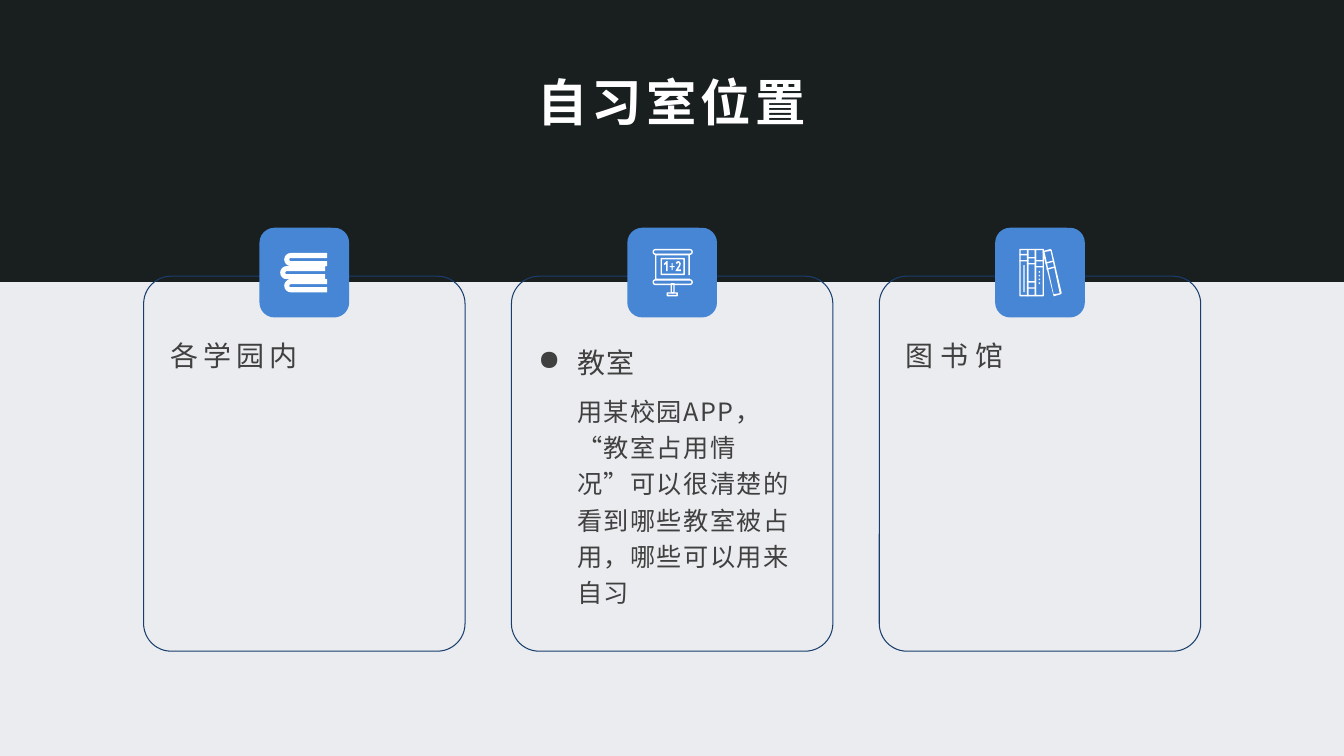
"""Build the study room location slide with three icon cards."""
from math import cos, pi, sin

from lxml.etree import SubElement
from pptx import Presentation
from pptx.dml.color import RGBColor
from pptx.enum.shapes import MSO_SHAPE as Preset
from pptx.enum.text import MSO_ANCHOR as Anchor, PP_ALIGN as Align
from pptx.oxml.ns import qn
from pptx.util import Cm, Pt

NIGHT = RGBColor(0x19, 0x1E, 0x1E)
MIST = RGBColor(0xEA, 0xEC, 0xEF)
NAVY = RGBColor(0x19, 0x3E, 0x6D)
BLUE = RGBColor(0x47, 0x86, 0xD5)
GREY = RGBColor(0x40, 0x40, 0x40)
WHITE = RGBColor(0xFF, 0xFF, 0xFF)
FONT = "Noto Sans CJK SC"
BULLET = "●"

TITLE = "自习室位置"
CARDS = [
    [dict(text="各学园内", size=20, spacing=3.6)],
    [
        dict(text="教室", size=20, spacing=1.2, line=1.2, hanging=True),
        dict(text="用某校园APP，“教室占用情况”可以很清楚的看到哪些教室被占用，哪些可以用来自习",
             size=18, spacing=1, line=1.2, level=1),
    ],
    [dict(text="图书馆", size=20, spacing=4.8)],
]

SLIDE_W, SLIDE_H = Cm(33.87), Cm(19.05)
BAND_TOP = Cm(7.11)
CARD_LEFT, CARD_TOP, CARD_W, CARD_H = Cm(3.62), Cm(6.96), Cm(8.1), Cm(9.45)
CARD_PITCH = Cm(9.27)
BADGE_TOP, BADGE = Cm(5.74), Cm(2.26)
TEXT_INSET, TEXT_TOP, TEXT_H = Cm(0.42), Cm(8.41), Cm(7.49)
INDENT = Cm(0.99)
ICON_UNIT = Cm(2.54) / 100


def arc(x, y, radius, start, end, steps=8):
    angles = [start + (end - start) * i / steps for i in range(steps + 1)]
    return [(x + radius * cos(a), y + radius * sin(a)) for a in angles]


def rounded(left, top, right, bottom, radius):
    corners = [(right - radius, bottom - radius), (left + radius, bottom - radius),
               (left + radius, top + radius), (right - radius, top + radius)]
    return [point for i, (x, y) in enumerate(corners)
            for point in arc(x, y, radius, i * pi / 2, (i + 1) * pi / 2, 4)]


def bar(left, top, width, height):
    return [rounded(left, top, left + width, top + height, min(width, height) / 2)]


def frame(left, top, right, bottom, radius, wall):
    return [rounded(left, top, right, bottom, radius),
            rounded(left + wall, top + wall, right - wall, bottom - wall,
                    max(radius - wall, 0))]


def lying_book(spine, middle, right):
    return [(right, middle - 6.5), *arc(spine, middle, 6.5, -pi / 2, -3 * pi / 2),
            (right, middle + 6.5), (right, middle + 1.5),
            *arc(spine, middle, 1.5, pi / 2, 3 * pi / 2), (right, middle - 1.5)]


BOOK_PILE = [[lying_book(31, 31.5, 67), lying_book(27, 44.5, 65), lying_book(31, 57.5, 67)]]

BOARD = [
    frame(25, 21, 65, 27, 3, 1.4),
    frame(39, 64, 50, 68, 0.7, 1.4),
    frame(25, 51, 65, 57, 3, 1.4),
    [[(62, 52), (27.5, 52), (27.5, 26), (62, 26), (62, 47),
      (60.6, 47), (60.6, 27.4), (28.9, 27.4), (28.9, 50.6), (62, 50.6)]],
    frame(33, 30, 57, 47, 0.7, 1.4),
    frame(43, 55, 47, 65, 0.7, 1.2),
    [[(40, 43), (38.4, 43), (38.4, 36), (37, 37), (36, 36), (39, 33), (40, 33)]],
    [[(44, 39), (42, 39), (42, 38), (44, 38), (44, 35), (45, 35),
      (45, 38), (47, 38), (47, 39), (45, 39), (45, 42), (44, 42)]],
    [[(53, 43), (48, 43), (48, 42), (50, 39), (51.4, 37), (51.4, 35.5), (50.4, 34.6),
      (49.3, 36), (48, 35), (49, 33.6), (50.4, 33), (52, 33.6), (53, 35.5),
      (52.4, 38), (50.2, 41.4), (53, 41.4)]],
]

SPINES = {24: (26, 32), 31.5: (29, 35, 53, 59), 39.3: (32, 38)}
LEANING = [[(58, 68), (47, 24), (48, 23), (55, 21), (56, 22), (66, 65), (65, 66)],
           [(49, 24), (58, 66), (64, 65), (55, 23)]]
SHELF = [
    *[frame(x, 21, x + 9, 68, 0.7, 1.3) for x in SPINES],
    LEANING,
    *[bar(x, y, 9, 1.3) for x, stripes in SPINES.items() for y in stripes],
    bar(28, 37, 1.3, 27),
    *[bar(43.2, 43 + 3.7 * i, 1.4, 1.6) for i in range(4)],
    *[[[(50 + i, 35.8 + 6 * i), (50 + i, 34.4 + 6 * i),
        (58.5 + i, 32.2 + 6 * i), (58.5 + i, 33.6 + 6 * i)]] for i in range(2)],
]
ICONS = [BOOK_PILE, BOARD, SHELF]


def paint(shape, fill=None, line=None):
    shape.shadow.inherit = False
    if fill is None:
        shape.fill.background()
    else:
        shape.fill.solid()
        shape.fill.fore_color.rgb = fill
    if line is None:
        shape.line.fill.background()
    else:
        shape.line.color.rgb = line
        shape.line.width = Pt(0.75)
    return shape


def draw_icon(slide, parts, left, top):
    icon = slide.shapes.add_group_shape()
    for contours in parts:
        scaled = [[(round(x * ICON_UNIT), round(y * ICON_UNIT)) for x, y in contour]
                  for contour in contours]
        builder = icon.shapes.build_freeform(*scaled[0][0])
        for i, contour in enumerate(scaled):
            if i:
                builder.move_to(*contour[0])
            builder.add_line_segments(contour[1:], close=True)
        paint(builder.convert_to_shape(left, top), WHITE)


def write(paragraph, text, size, spacing, color=GREY, bold=False, line=None,
          level=0, hanging=False):
    paragraph.space_after = Pt(8)
    paragraph.level = level
    if line:
        paragraph.line_spacing = line
    props = paragraph._p.get_or_add_pPr()
    if hanging or level:
        props.set("marL", str(INDENT))
        props.set("indent", str(-INDENT if hanging else 0))
    if hanging:
        SubElement(props, qn("a:buChar")).set("char", BULLET)
    run = paragraph.add_run()
    run.text = text
    run.font.size, run.font.bold = Pt(size), bold
    run.font.name = FONT
    run.font.color.rgb = color
    run_props = run._r.get_or_add_rPr()
    run_props.set("spc", str(round(spacing * 100)))
    SubElement(run_props, qn("a:ea")).set("typeface", FONT)


def add_card(slide, index, paragraphs, icon):
    left = CARD_LEFT + index * CARD_PITCH
    card = paint(slide.shapes.add_shape(Preset.ROUNDED_RECTANGLE, left, CARD_TOP,
                                        CARD_W, CARD_H), line=NAVY)
    card.adjustments[0] = 0.086
    badge_left = left + (CARD_W - BADGE) // 2
    paint(slide.shapes.add_shape(Preset.ROUNDED_RECTANGLE, badge_left, BADGE_TOP,
                                 BADGE, BADGE), BLUE)
    body = slide.shapes.add_textbox(left + TEXT_INSET, TEXT_TOP,
                                    CARD_W - 2 * TEXT_INSET, TEXT_H).text_frame
    body.word_wrap = True
    for i, content in enumerate(paragraphs):
        write(body.add_paragraph() if i else body.paragraphs[0], **content)
    draw_icon(slide, icon, badge_left, BADGE_TOP)


def main():
    deck = Presentation()
    deck.slide_width, deck.slide_height = SLIDE_W, SLIDE_H
    slide = deck.slides.add_slide(deck.slide_layouts[6])
    slide.background.fill.solid()
    slide.background.fill.fore_color.rgb = NIGHT
    paint(slide.shapes.add_shape(Preset.RECTANGLE, 0, BAND_TOP, SLIDE_W,
                                 SLIDE_H - BAND_TOP), MIST)
    for index, (paragraphs, icon) in enumerate(zip(CARDS, ICONS)):
        add_card(slide, index, paragraphs, icon)
    title = slide.shapes.add_textbox(Cm(1.27), Cm(1.65), Cm(31.32), Cm(1.83)).text_frame
    title.word_wrap = True
    title.vertical_anchor = Anchor.MIDDLE
    title.margin_left = title.margin_right = Cm(0.2)
    title.margin_top = title.margin_bottom = Cm(0.1)
    title.paragraphs[0].alignment = Align.CENTER
    write(title.paragraphs[0], TITLE, 36, 3, WHITE, bold=True)
    deck.save("out.pptx")


if __name__ == "__main__":
    main()
